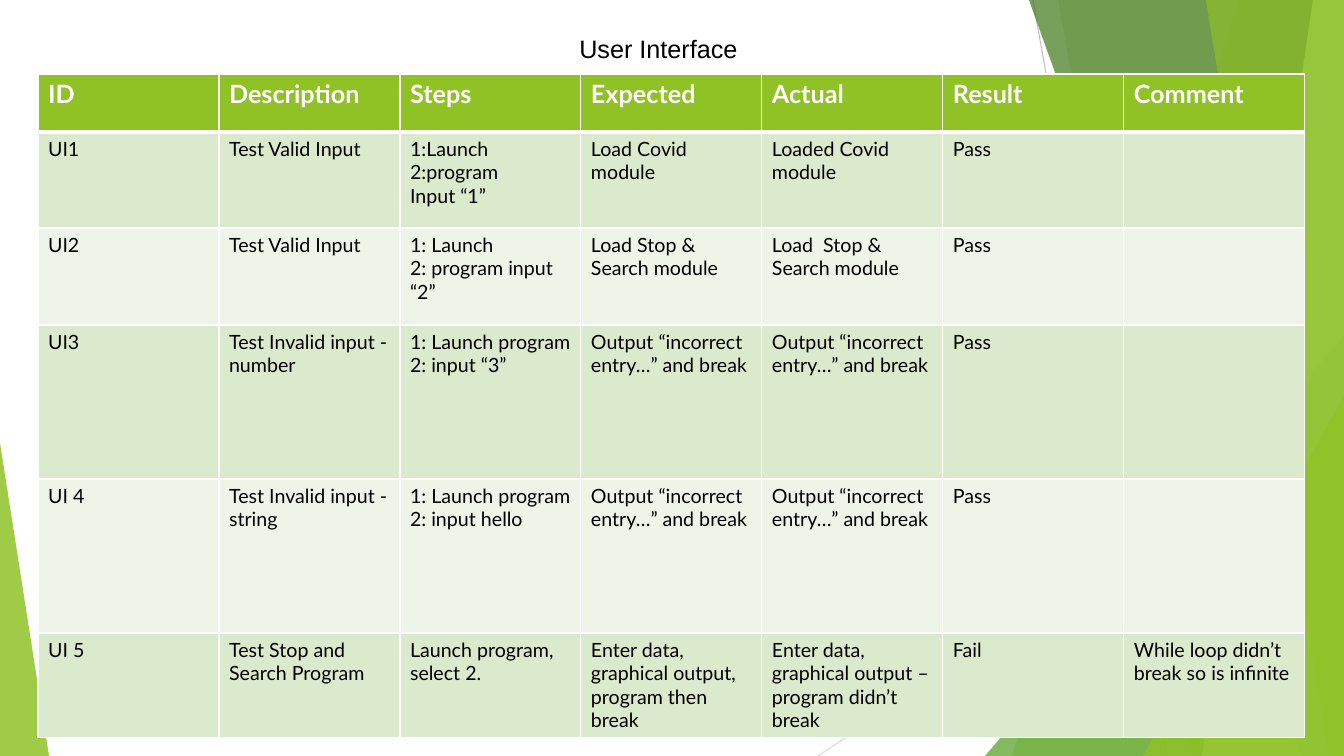
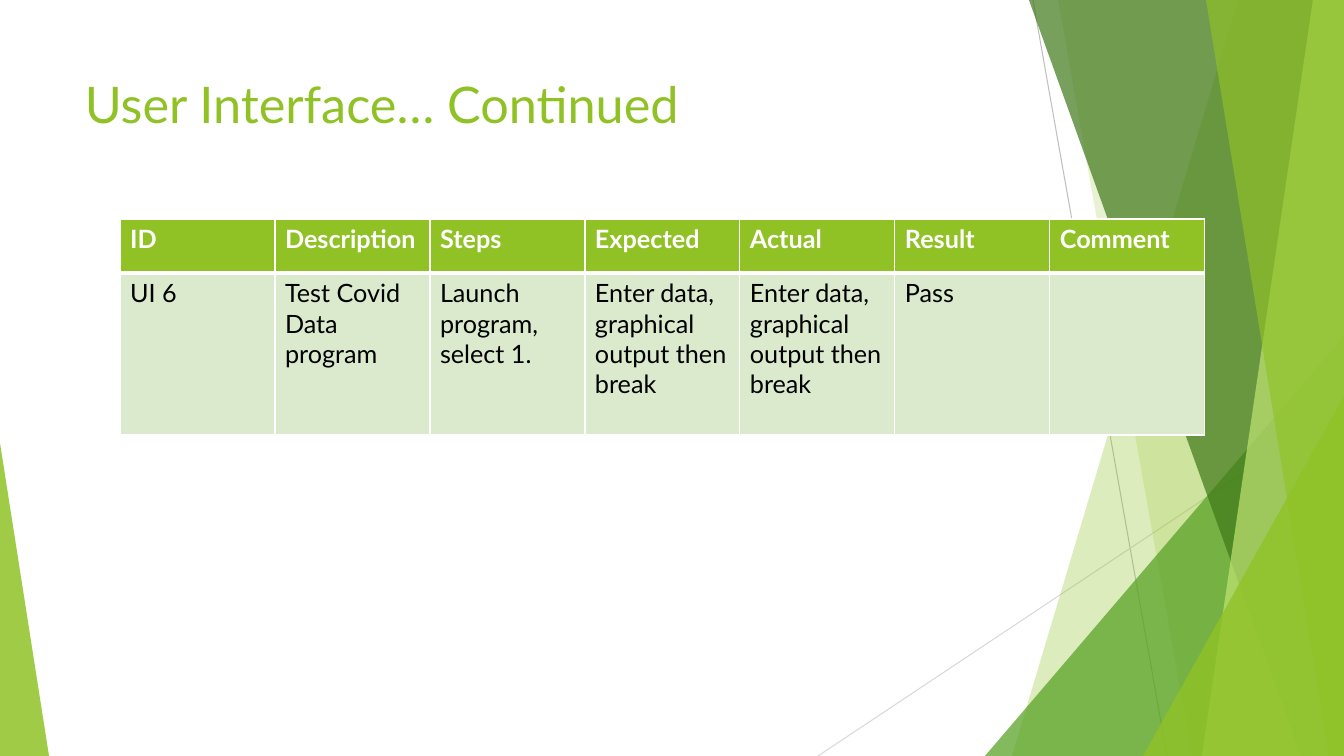
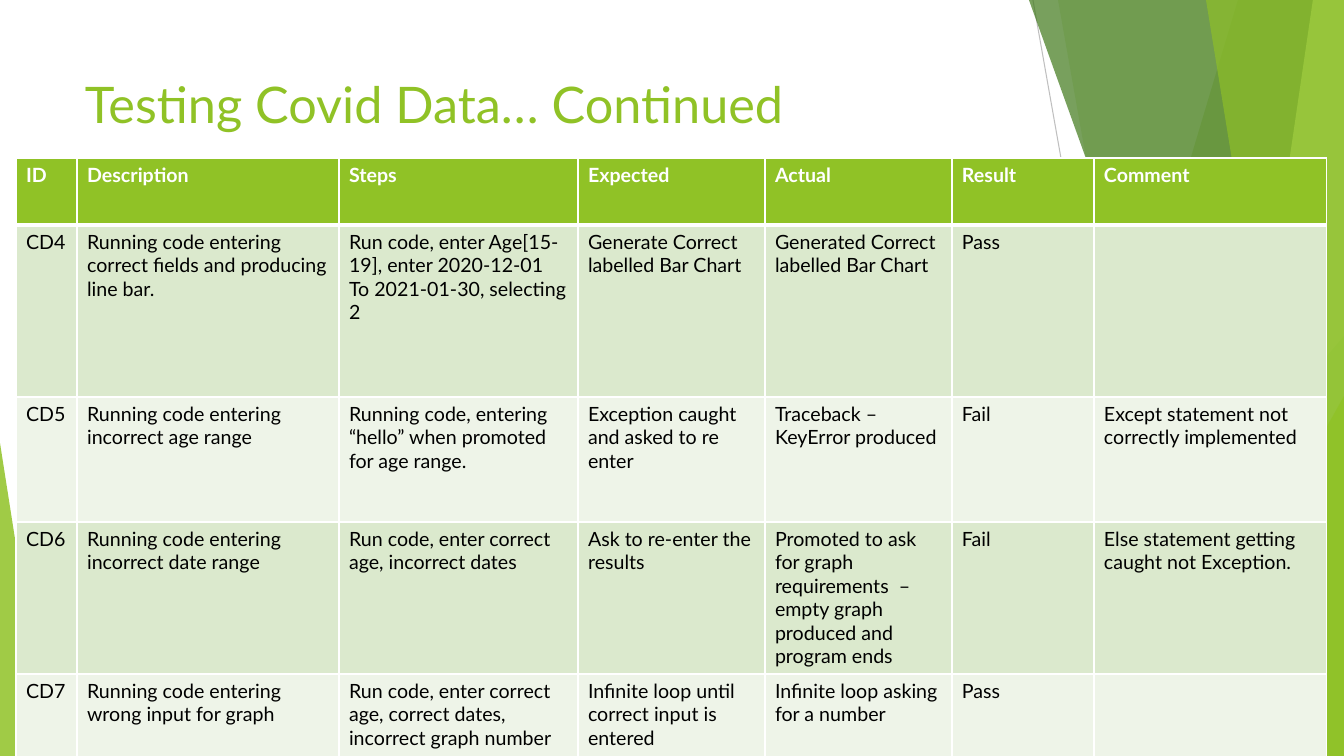
from lxml import etree
from pptx import Presentation
from pptx.dml.color import RGBColor
from pptx.enum.shapes import MSO_CONNECTOR as Connector, MSO_SHAPE as Shape
from pptx.enum.text import PP_ALIGN as Align
from pptx.oxml.ns import qn
from pptx.util import Emu, Pt

# Shared look
WIDTH, HEIGHT = 1344, 756
PX = 914400 / 100.8
GREEN, WHITE, BLACK = "90C226", "FFFFFF", "000000"
BANDS = ("DBE9CD", "EEF4E8")
FONT = "Lato"

RAYS = [((1033, 0), (1167, HEIGHT), "BFBFBF"),
        ((WIDTH, 406), (818, HEIGHT), "D9D9D9")]
# Facets from back to front: a band has (top x, bottom x) and runs to the
# right edge; a triangle has (left, top, width, apex) and runs to the bottom
FACETS = [
    ((1238, 1012), GREEN, 30),
    ((1058, 1192), GREEN, 20),
    ((985, 336, 359, 1), "54A021", 72),
    ((1029, 1301), "3F7819", 70),
    ((1313, 1202), "C0E474", 70),
    ((1206, 1329), GREEN, 65),
    ((1143, 396, 201, 1), GREEN, 80),
    ((0, 443, 49, 0), GREEN, 85),
]

# Content
HEADINGS = ("ID", "Description", "Steps", "Expected", "Actual", "Result", "Comment")
TITLE = dict(box=(75, 68, 948, 145), size=36, color=GREEN, font=FONT, align=Align.LEFT)
CAPTION = dict(box=(151, 28, 1015, 40), size=18, color=BLACK, font="Arial",
               align=Align.CENTER)
BREAK_OUTPUT = "Output “incorrect entry…” and break"
GRAPH_OUTPUT = "Enter data, graphical output then break"

SLIDES = [
    dict(
        title="User Interface", style=CAPTION, corner=(38, 74), sizes=(18, 14),
        columns=[181] * 7, rows=[58, 96, 97, 154, 154, 105],
        tests=[
            ("UI1", "Test Valid Input", "1:Launch 2:program\nInput “1”",
             "Load Covid module", "Loaded Covid module", "Pass", ""),
            ("UI2", "Test Valid Input", "1: Launch\n2: program input “2”",
             "Load Stop & Search module", "Load  Stop & Search module", "Pass", ""),
            ("UI3", "Test Invalid input - number", "1: Launch program\n2: input “3”",
             BREAK_OUTPUT, BREAK_OUTPUT, "Pass", ""),
            ("UI 4", "Test Invalid input - string", "1: Launch program\n2: input hello",
             BREAK_OUTPUT, BREAK_OUTPUT, "Pass", ""),
            ("UI 5", "Test Stop and Search Program", "Launch program, select 2.",
             "Enter data, graphical output, program then break",
             "Enter data, graphical output – program didn’t break", "Fail",
             "While loop didn’t break so is infinite"),
        ]),
    dict(
        title="User Interface… Continued", style=TITLE, corner=(120, 219), sizes=(18, 18),
        columns=[155] * 7, rows=[54, 162],
        tests=[
            ("UI 6", "Test Covid Data program", "Launch program, select 1.",
             GRAPH_OUTPUT, GRAPH_OUTPUT, "Pass", ""),
        ]),
    dict(
        title="Testing Covid Data… Continued", style=TITLE, corner=(16, 158), sizes=(14, 14),
        columns=[61, 262, 239, 187, 187, 142, 233], rows=[67, 172, 125, 152, 101],
        tests=[
            ("CD4", "Running code entering correct fields and producing line bar.",
             "Run code, enter Age[15-19], enter 2020-12-01\nTo 2021-01-30, selecting 2",
             "Generate Correct labelled Bar Chart",
             "Generated Correct labelled Bar Chart", "Pass", ""),
            ("CD5", "Running code entering incorrect age range",
             "Running code, entering “hello” when promoted for age range.",
             "Exception caught and asked to re enter",
             "Traceback – KeyError produced", "Fail",
             "Except statement not correctly implemented"),
            ("CD6", "Running code entering incorrect date range",
             "Run code, enter correct age, incorrect dates",
             "Ask to re-enter the results",
             "Promoted to ask for graph requirements  – empty graph produced and program ends",
             "Fail", "Else statement getting caught not Exception."),
            ("CD7", "Running code entering wrong input for graph",
             "Run code, enter correct age, correct dates, incorrect graph number",
             "Infinite loop until correct input is entered",
             "Infinite loop asking for a number", "Pass", ""),
        ]),
]


def px(*lengths):
    return [Emu(round(length * PX)) for length in lengths]


def rgb(color):
    return RGBColor.from_string(color)


def set_font(font, size, color, name=FONT, bold=False):
    font.size, font.name, font.bold = Pt(size), name, bold
    font.color.rgb = rgb(color)


def draw_backdrop(shapes):
    for start, end, color in RAYS:
        ray = shapes.add_connector(Connector.STRAIGHT, *px(*start, *end))
        ray.line.color.rgb = rgb(color)
        ray.line.width = Pt(0.75)
        etree.SubElement(ray._element.spPr, qn("a:effectLst"))
    for outline, color, opacity in FACETS:
        if len(outline) == 2:
            top_x, bottom_x = outline
            builder = shapes.build_freeform(top_x, 0, scale=PX)
            builder.add_line_segments([(WIDTH, 0), (WIDTH, HEIGHT), (bottom_x, HEIGHT)])
            facet = builder.convert_to_shape()
        else:
            left, top, width, apex = outline
            facet = shapes.add_shape(Shape.ISOSCELES_TRIANGLE,
                                     *px(left, top, width, HEIGHT - top))
            facet.adjustments[0] = apex
        facet.shadow.inherit = False
        facet.line.fill.background()
        facet.fill.solid()
        facet.fill.fore_color.rgb = rgb(color)
        tint = facet._element.spPr.find(qn("a:solidFill"))[0]
        etree.SubElement(tint, qn("a:alpha"), val=str(opacity * 1000))


def draw_title(shapes, title, style):
    frame = shapes.add_textbox(*px(*style["box"])).text_frame
    frame.word_wrap = True
    frame.text = title
    heading = frame.paragraphs[0]
    heading.alignment = style["align"]
    set_font(heading.runs[0].font, style["size"], style["color"], style["font"])


def set_borders(cell, top, bottom):
    props = cell._tc.get_or_add_tcPr()
    for place, (side, points) in enumerate(zip("LRTB", (1, 1, top, bottom))):
        border = etree.Element(qn(f"a:ln{side}"), w=str(Pt(points)))
        fill = etree.SubElement(border, qn("a:solidFill"))
        etree.SubElement(fill, qn("a:srgbClr"), val=WHITE)
        props.insert(place, border)


def draw_tests(shapes, corner, columns, rows, sizes, tests):
    box = px(*corner, sum(columns), sum(rows))
    table = shapes.add_table(len(rows), len(columns), *box).table
    for column, width in zip(table.columns, px(*columns)):
        column.width = width
    for row, height in zip(table.rows, px(*rows)):
        row.height = height
    for r, texts in enumerate([HEADINGS, *tests]):
        header = r == 0
        for c, text in enumerate(texts):
            cell = table.cell(r, c)
            cell.text_frame.text = text
            cell.fill.solid()
            cell.fill.fore_color.rgb = rgb(GREEN if header else BANDS[(r - 1) % 2])
            # The rule under the header is thicker
            set_borders(cell, top=3 if r == 1 else 1, bottom=3 if header else 1)
            for paragraph in cell.text_frame.paragraphs:
                for run in paragraph.runs:
                    set_font(run.font, sizes[0 if header else 1],
                             WHITE if header else BLACK, bold=header)


# Build the slides
deck = Presentation()
deck.slide_width, deck.slide_height = px(WIDTH, HEIGHT)
for content in SLIDES:
    shapes = deck.slides.add_slide(deck.slide_layouts[6]).shapes
    draw_backdrop(shapes)
    draw_title(shapes, content["title"], content["style"])
    draw_tests(shapes, content["corner"], content["columns"], content["rows"],
               content["sizes"], content["tests"])
deck.save("out.pptx")
